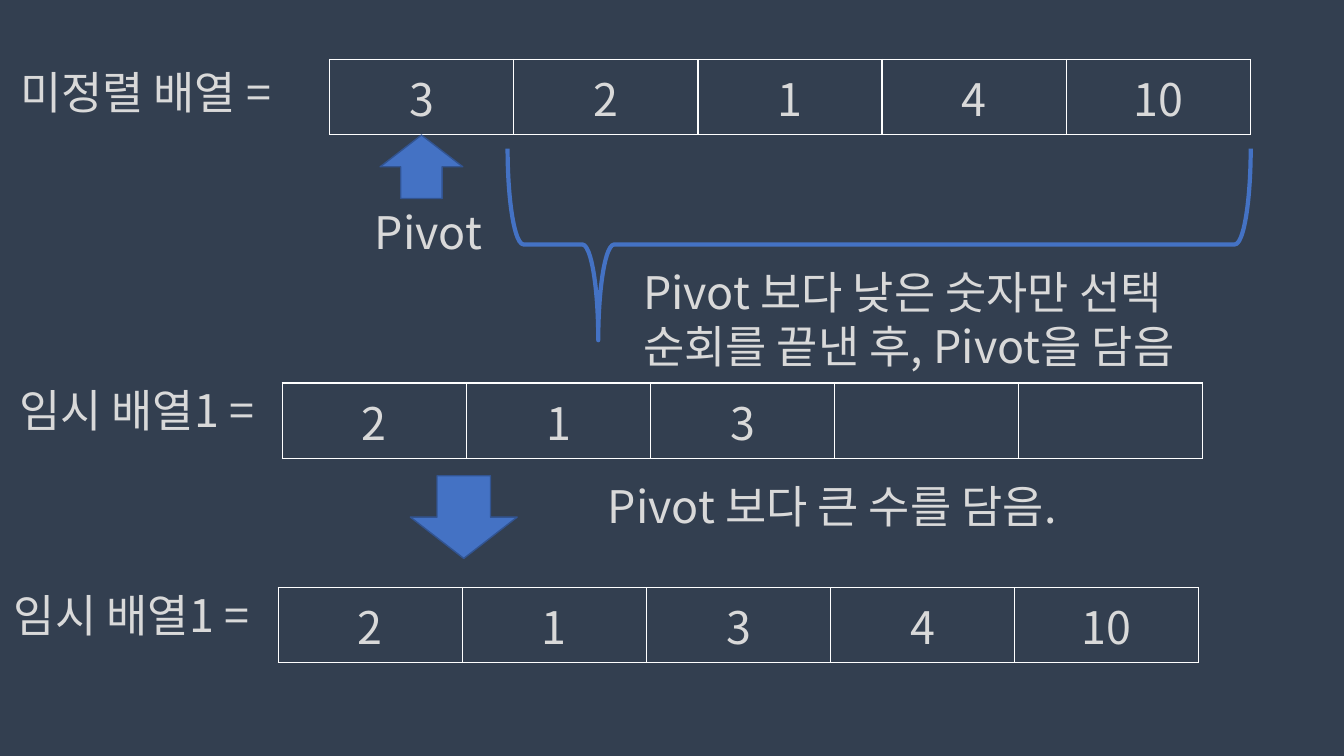
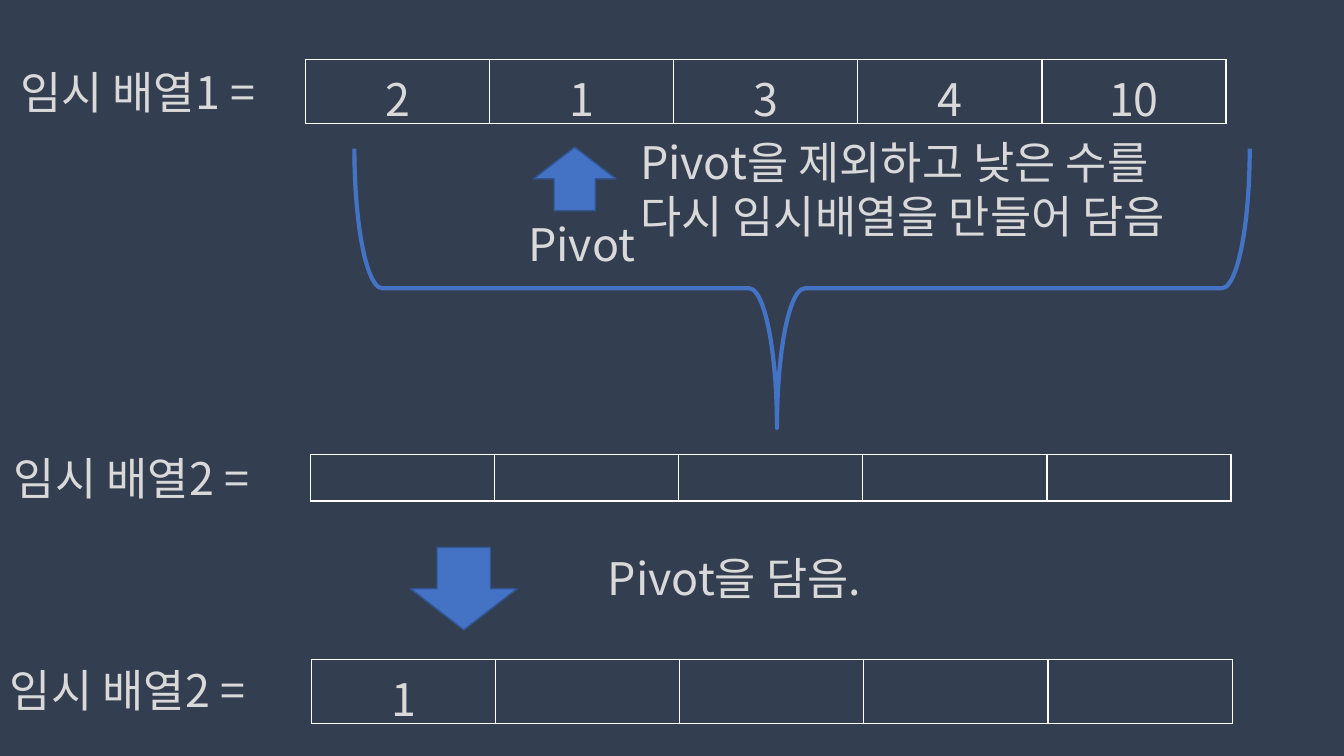
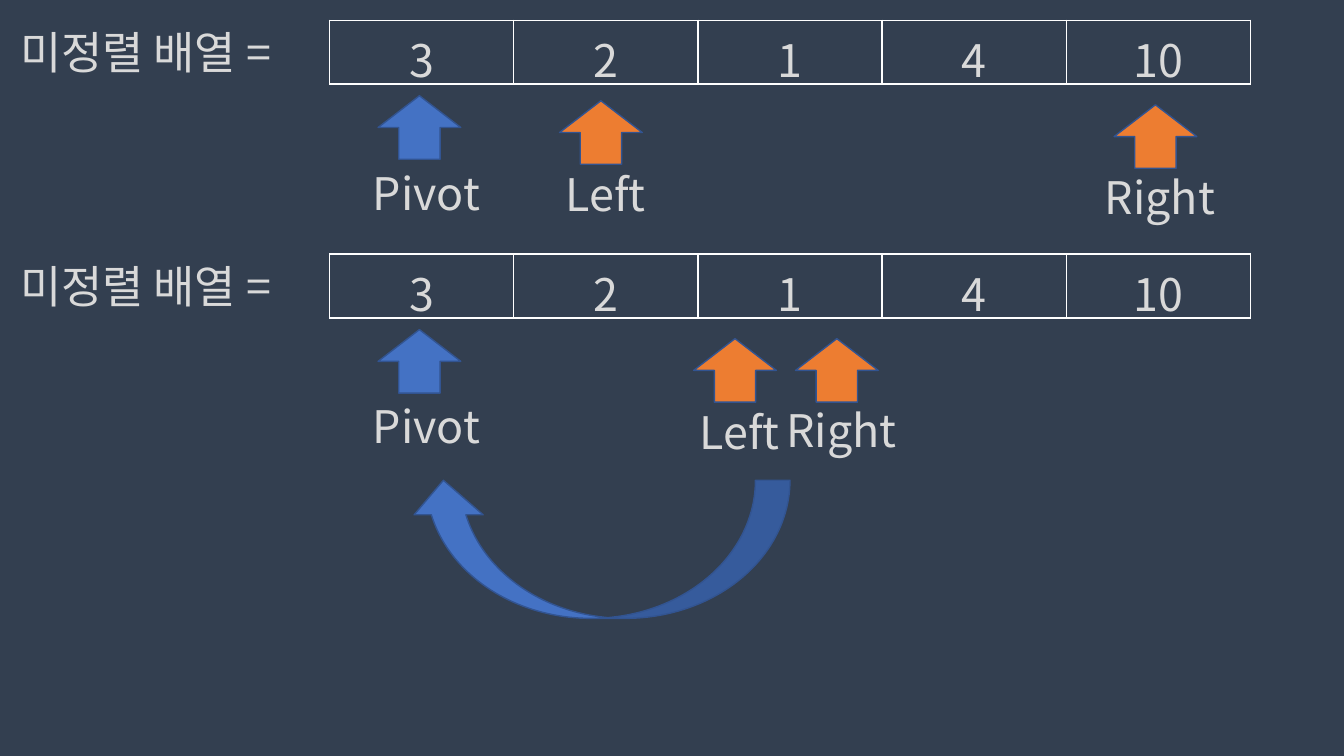
from lxml import etree
from pptx import Presentation
from pptx import util as u
from pptx.dml.color import RGBColor
from pptx.enum import shapes, text
from pptx.oxml import ns

FONT = "Noto Sans CJK KR"
COLORS = {
    "background": "333F50",
    "text": "D9D9D9",
    "border": "FFFFFF",
    "blue": "4472C4",
    "orange": "ED7D31",
    "outline": "325491",
}
COLUMNS = 5
SHAPE = shapes.MSO_SHAPE
POINTERS = {
    "Pivot": ("blue", -0.15, 0.64),
    "Left": ("orange", -0.04, 0.61),
    "Right": ("orange", -0.19, 0.59),
}

SLIDES = [
    {
        "arrays": [
            (3.27, 0.59, ["3", "2", "1", "4", "10"]),
            (2.8, 3.8, ["2", "1", "3"]),
            (2.76, 5.83, ["2", "1", "3", "4", "10"]),
        ],
        "pointers": [("Pivot", 3.77, 1.34)],
        "shapes": [
            (SHAPE.LEFT_BRACE, 7.77, -1.26, 1.9, 7.37, 270, (0.083, 0.122)),
            (SHAPE.DOWN_ARROW, 4.07, 4.72, 1.06, 0.82, 0, ()),
        ],
        "texts": [
            ("미정렬 배열 =", 0.1, 0.59, 3.11, 0.64),
            ("임시 배열1 =", 0.09, 3.75, 3.11, 0.64),
            ("임시 배열1 =", 0.04, 5.78, 3.11, 0.64),
            ("Pivot 보다 낮은 숫자만 선택\n순회를 끝낸 후, Pivot을 담음", 6.28, 2.58, 6.12, 1.18),
            ("Pivot 보다 큰 수를 담음.", 5.93, 4.7, 6.12, 0.64),
        ],
    },
    {
        "arrays": [
            (3.03, 0.59, ["2", "1", "3", "4", "10"]),
            (3.08, 4.51, []),
            (3.09, 6.54, ["1"]),
        ],
        "pointers": [("Pivot", 5.29, 1.46)],
        "shapes": [
            (SHAPE.LEFT_BRACE, 6.57, -1.58, 2.77, 8.88, 270, (0.1, 0.472)),
            (SHAPE.DOWN_ARROW, 4.07, 5.43, 1.06, 0.82, 0, ()),
        ],
        "texts": [
            ("임시 배열1 =", 0.1, 0.59, 3.11, 0.64),
            ("임시 배열2 =", 0.04, 4.42, 3.11, 0.64),
            ("임시 배열2 =", 0, 6.53, 3.11, 0.64),
            ("Pivot을 제외하고 낮은 수를 다시 임시배열을 만들어 담음", 6.25, 1.29, 6.05, 1.18),
            ("Pivot을 담음.", 5.93, 5.41, 6.12, 0.64),
        ],
    },
    {
        "arrays": [
            (3.27, 2.52, ["3", "2", "1", "4", "10"]),
            (3.27, 0.2, ["3", "2", "1", "4", "10"]),
        ],
        "pointers": [
            ("Pivot", 3.75, 3.27),
            ("Left", 6.88, 3.36),
            ("Right", 7.89, 3.36),
            ("Pivot", 3.75, 0.95),
            ("Left", 5.55, 1),
            ("Right", 11.05, 1.04),
        ],
        "shapes": [(SHAPE.CURVED_LEFT_ARROW, 5.26, 3.56, 1.37, 3.78, 90, ())],
        "texts": [
            ("미정렬 배열 =", 0.1, 2.52, 3.11, 0.64),
            ("미정렬 배열 =", 0.1, 0.2, 3.11, 0.64),
        ],
    },
]


def color(name):
    return RGBColor.from_string(COLORS[name])


def write(frame, words, align=text.PP_ALIGN.LEFT):
    frame.text = words
    for para in frame.paragraphs:
        para.alignment = align
        for span in para.runs:
            span.font.size = u.Pt(32)
            span.font.name = FONT
            span.font.color.rgb = color("text")
            east_asian = etree.SubElement(span.font._element, ns.qn("a:ea"))
            east_asian.set("typeface", FONT)


deck = Presentation()
deck.slide_width = u.Inches(13.33)
deck.slide_height = u.Inches(7.5)
background = deck.slide_master.background.fill
background.solid()
background.fore_color.rgb = color("background")

for content in SLIDES:
    page = deck.slides.add_slide(deck.slide_layouts[6])

    for left, top, values in content["arrays"]:
        frame = page.shapes.add_table(
            1, COLUMNS, u.Inches(left), u.Inches(top), u.Inches(9.13), u.Inches(0.63)
        )
        table = frame.table
        table.first_row = False
        table.horz_banding = False
        table.rows[0].height = u.Inches(0.46)
        frame.height = u.Inches(0.63)
        for index, cell in enumerate(table.iter_cells()):
            cell.fill.background()
            cell.vertical_anchor = text.MSO_ANCHOR.MIDDLE
            properties = cell._tc.get_or_add_tcPr()
            for position, side in enumerate(["a:lnL", "a:lnR", "a:lnT", "a:lnB"]):
                border = etree.Element(ns.qn(side), w=str(u.Pt(1)))
                fill = etree.SubElement(border, ns.qn("a:solidFill"))
                etree.SubElement(fill, ns.qn("a:srgbClr"), val=COLORS["border"])
                properties.insert(position, border)
            if index < len(values):
                write(cell.text_frame, values[index], text.PP_ALIGN.CENTER)

    drawings = [(*drawing, "blue") for drawing in content["shapes"]]
    labels = list(content["texts"])
    for label, left, top in content["pointers"]:
        fill_name, shift, drop = POINTERS[label]
        drawings.append((SHAPE.UP_ARROW, left, top, 0.82, 0.63, 0, (), fill_name))
        labels.append((label, left + shift, top + drop, 1.34, 0.64))

    for kind, left, top, width, height, rotation, adjustments, fill_name in drawings:
        shape = page.shapes.add_shape(
            kind, u.Inches(left), u.Inches(top), u.Inches(width), u.Inches(height)
        )
        shape.rotation = rotation
        shape.shadow.inherit = False
        for index, value in enumerate(adjustments):
            shape.adjustments[index] = value
        if kind == SHAPE.LEFT_BRACE:
            shape.fill.background()
            shape.line.color.rgb = color("blue")
            shape.line.width = u.Pt(3)
        else:
            shape.fill.solid()
            shape.fill.fore_color.rgb = color(fill_name)
            shape.line.color.rgb = color("outline")
            shape.line.width = u.Pt(1)

    for words, left, top, width, height in labels:
        box = page.shapes.add_textbox(
            u.Inches(left), u.Inches(top), u.Inches(width), u.Inches(height)
        )
        box.text_frame.word_wrap = True
        box.text_frame.auto_size = text.MSO_AUTO_SIZE.SHAPE_TO_FIT_TEXT
        write(box.text_frame, words)

deck.save("out.pptx")
